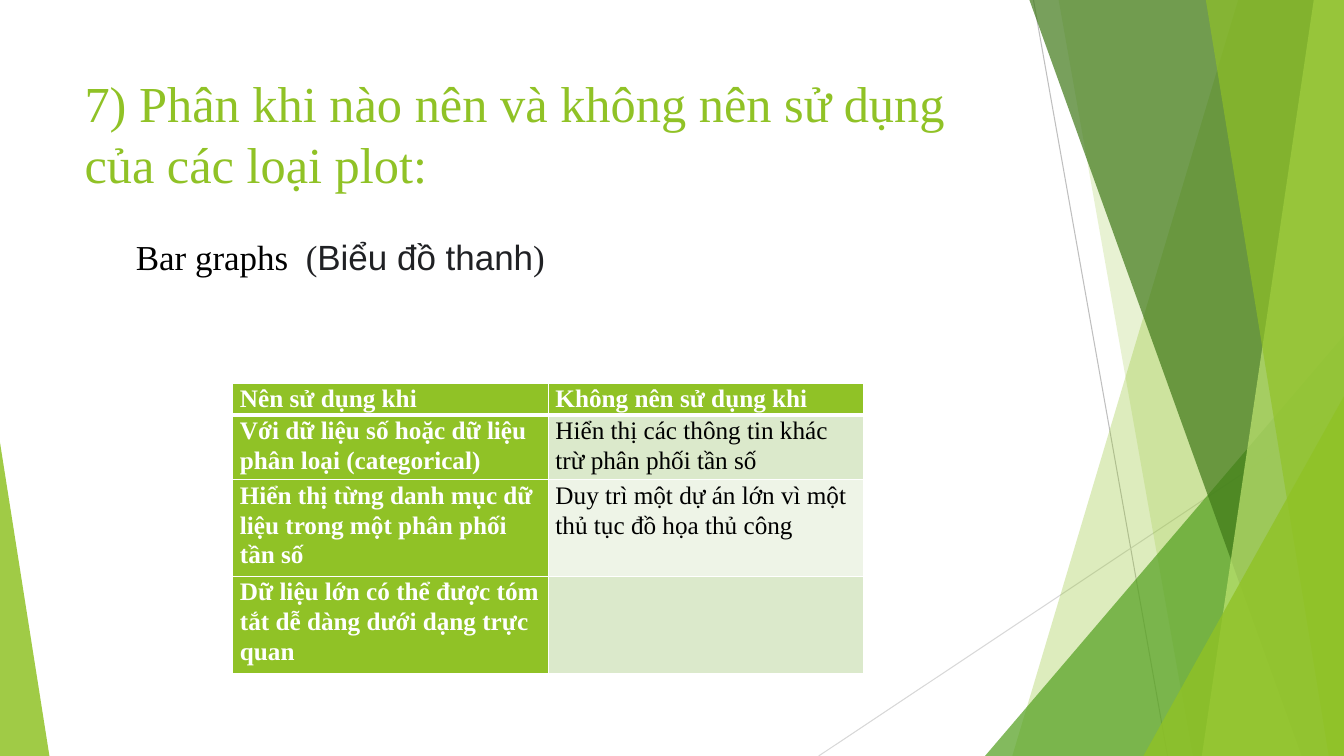
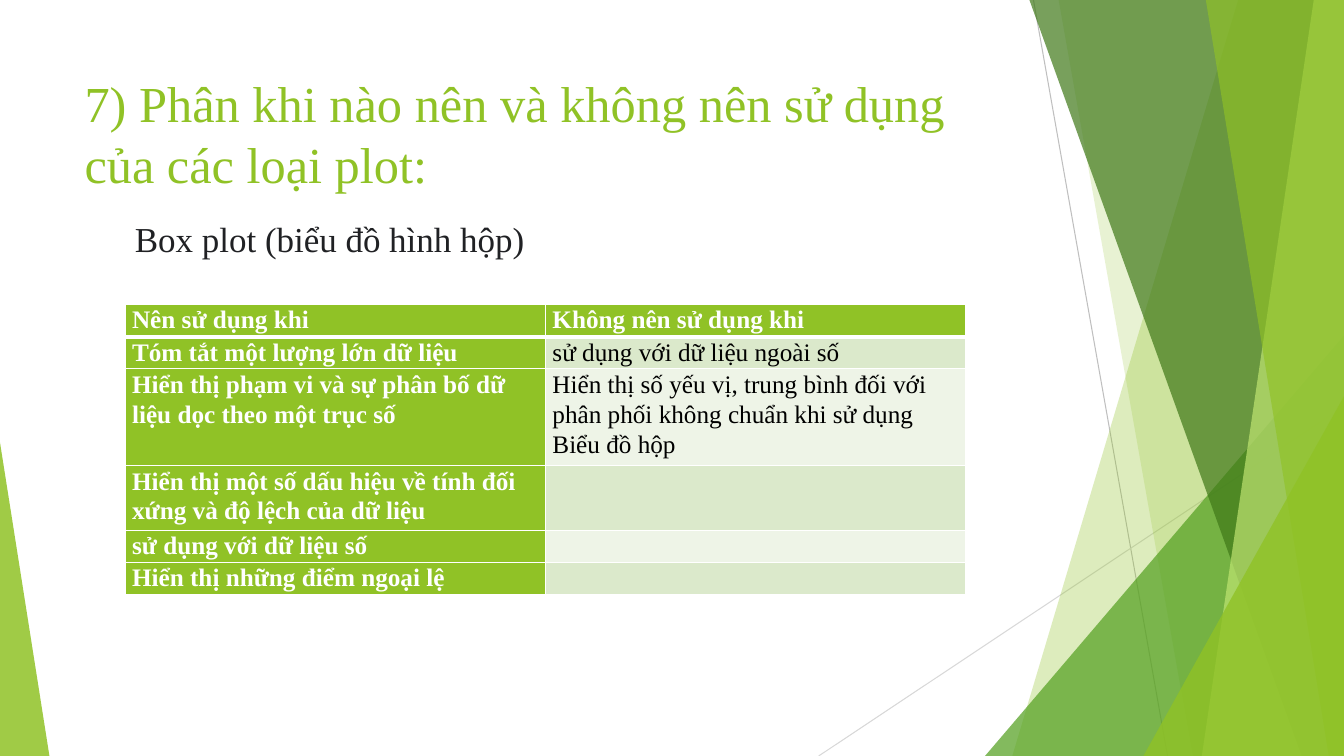
from lxml import etree
from pptx import Presentation
from pptx.dml.color import RGBColor
from pptx.enum.shapes import MSO_CONNECTOR as Connector, MSO_SHAPE as Shape
from pptx.enum.text import MSO_ANCHOR as Anchor, MSO_AUTO_SIZE as AutoSize
from pptx.oxml.ns import qn
from pptx.util import Inches, Pt

W, H = 13.33, 7.5
SERIF, SANS = "Times New Roman", "Arial"
COLORS = {
    "lime": "90C226", "pale_lime": "BFE471", "green": "54A021", "forest": "3F7818",
    "ink": "202124", "black": "000000", "white": "FFFFFF",
    "band_dark": "DBE9CB", "band_light": "EEF4E7",
    "line_dark": "BFBFBF", "line_light": "D8D8D8",
}
TITLE = "7) Phân khi nào nên và không nên sử dụng của các loại plot:"
HEADER = ("Nên sử dụng khi", "Không nên sử dụng khi")
LINE_H = 0.32  # table row height per line of text

RAYS = [((10.25, 0), (11.58, H), "line_dark"), ((W, 4.03), (8.12, H), "line_light")]
# Back to front. Quads: (top left, bottom left, ...) reach the right edge of the slide.
# Triangles: (left, top, width, apex position).
FACETS = [
    ("quad", (12.28, 10.04), "lime", 30),
    ("quad", (10.5, 11.83), "lime", 20),
    ("triangle", (9.77, 3.33, 3.56, 1), "green", 72),
    ("quad", (10.21, 12.91), "forest", 70),
    ("quad", (13.03, 11.92), "pale_lime", 70),
    ("quad", (11.96, 13.18), "lime", 65),
    ("triangle", (11.34, 3.93, 1.99, 1), "lime", 80),
    ("triangle", (0, 4.39, 0.49, 0), "lime", 85),
]


def rgb(name):
    return RGBColor.from_string(COLORS[name])


class Deck:
    """Holds the shared style and the slide being built."""

    def __init__(self):
        self.prs = Presentation()
        self.prs.slide_width, self.prs.slide_height = Inches(W), Inches(H)
        self.s = None

    def new_slide(self):
        self.s = self.prs.slides.add_slide(self.prs.slide_layouts[6])
        for start, end, color in RAYS:
            self.line(start, end, color)
        for kind, geometry, color, opacity in FACETS:
            sp = getattr(self, kind)(*geometry)
            self.paint(sp, color, opacity)
        self.text((0.74, 0.67, 9.4, 1.44), [(TITLE, SERIF, "lime")], 36)

    def line(self, start, end, color):
        points = [Inches(v) for v in (*start, *end)]
        cxn = self.s.shapes.add_connector(Connector.STRAIGHT, *points)
        cxn.line.color.rgb, cxn.line.width = rgb(color), Pt(0.75)
        etree.SubElement(cxn._element.spPr, qn("a:effectLst"))

    def quad(self, top_x, bottom_x):
        corners = [(W, 0), (W, H), (bottom_x, H)]
        builder = self.s.shapes.build_freeform(Inches(top_x), 0)
        builder.add_line_segments([(Inches(x), Inches(y)) for x, y in corners])
        return builder.convert_to_shape()

    def triangle(self, x, y, w, apex):
        box = [Inches(v) for v in (x, y, w, H - y)]
        sp = self.s.shapes.add_shape(Shape.ISOSCELES_TRIANGLE, *box)
        sp.adjustments[0] = apex
        return sp

    def paint(self, sp, color, opacity):
        sp.shadow.inherit = False
        sp.fill.solid()
        sp.fill.fore_color.rgb = rgb(color)
        clr = sp._element.spPr.find(qn("a:solidFill"))[0]
        etree.SubElement(clr, qn("a:alpha"), val=str(opacity * 1000))
        sp.line.fill.background()

    def run(self, p, text, font, color, size, bold=False):
        r = p.add_run()
        r.text = text
        r.font.color.rgb = rgb(color)
        for key, value in {"name": font, "size": Pt(size), "bold": bold}.items():
            setattr(r.font, key, value)

    def text(self, box, runs, size):
        tf = self.s.shapes.add_textbox(*[Inches(v) for v in box]).text_frame
        style = {"word_wrap": True, "auto_size": AutoSize.NONE, "vertical_anchor": Anchor.TOP}
        for key, value in style.items():
            setattr(tf, key, value)
        for text, font, color in runs:
            self.run(tf.paragraphs[0], text, font, color, size)

    def table(self, x, y, col_w, rows):
        """Rows are (line count, left text, right text), below a shared header."""
        rows = [(1, *HEADER), *rows]
        height = LINE_H * sum(row[0] for row in rows)
        box = [Inches(v) for v in (x, y, 2 * col_w, height)]
        tbl = self.s.shapes.add_table(len(rows), 2, *box).table
        for col in tbl.columns:
            col.width = Inches(col_w)
        for i, (lines, *texts) in enumerate(rows):
            tbl.rows[i].height = Inches(LINE_H * lines)
            for j, text in enumerate(texts):
                self.cell(tbl.cell(i, j), text, i, j)

    def cell(self, cell, text, row, col):
        strong = row == 0 or col == 0
        band = "band_dark" if row % 2 else "band_light"
        margins = {"margin_left": 0.07, "margin_right": 0.07, "margin_top": 0, "margin_bottom": 0}
        for key, value in margins.items():
            setattr(cell, key, Inches(value))
        p = cell.text_frame.paragraphs[0]
        p.line_spacing = 1.07
        if text:
            self.run(p, text, SERIF, "white" if strong else "black", 18, strong)
        self.borders(cell, {"L": 1, "R": 1, "T": 3 if row == 1 else 1, "B": 1 if row else 3})
        cell.fill.solid()
        cell.fill.fore_color.rgb = rgb("lime" if strong else band)

    def borders(self, cell, widths):
        tc_pr = cell._tc.get_or_add_tcPr()
        for side, width in widths.items():
            ln = etree.SubElement(tc_pr, qn(f"a:ln{side}"), w=str(Pt(width)))
            fill = etree.SubElement(ln, qn("a:solidFill"))
            etree.SubElement(fill, qn("a:srgbClr"), val=COLORS["white"])


def main():
    deck = Deck()

    deck.new_slide()
    deck.text((1.25, 2.29, 4.6, 0.52), [
        ("Bar graphs ", SERIF, "black"), (" (", SERIF, "ink"),
        ("Biểu đồ thanh", SANS, "ink"), (")", SERIF, "ink"),
    ], 25)
    deck.table(2.31, 3.8, 3.13, [
        (2, "Với dữ liệu số hoặc dữ liệu phân loại (categorical)",
         "Hiển thị các thông tin khác trừ phân phối tần số"),
        (3, "Hiển thị từng danh mục dữ liệu trong một phân phối tần số",
         "Duy trì một dự án lớn vì một thủ tục đồ họa thủ công"),
        (3, "Dữ liệu lớn có thể được tóm tắt dễ dàng dưới dạng trực quan", ""),
    ])

    deck.new_slide()
    deck.text((1.24, 2.11, 4.2, 0.52), [("Box plot (biểu đồ hình hộp)", SERIF, "ink")], 25)
    deck.table(1.24, 3.02, 4.17, [
        (1, "Tóm tắt một lượng lớn dữ liệu", "sử dụng với dữ liệu ngoài số"),
        (3, "Hiển thị phạm vi và sự phân bố dữ liệu dọc theo một trục số",
         "Hiển thị số yếu vị, trung bình đối với phân phối không chuẩn khi sử dụng Biểu đồ hộp"),
        (2, "Hiển thị một số dấu hiệu về tính đối xứng và độ lệch của dữ liệu", ""),
        (1, "sử dụng với dữ liệu số", ""),
        (1, "Hiển thị những điểm ngoại lệ", ""),
    ])

    deck.prs.save("out.pptx")


if __name__ == "__main__":
    main()
